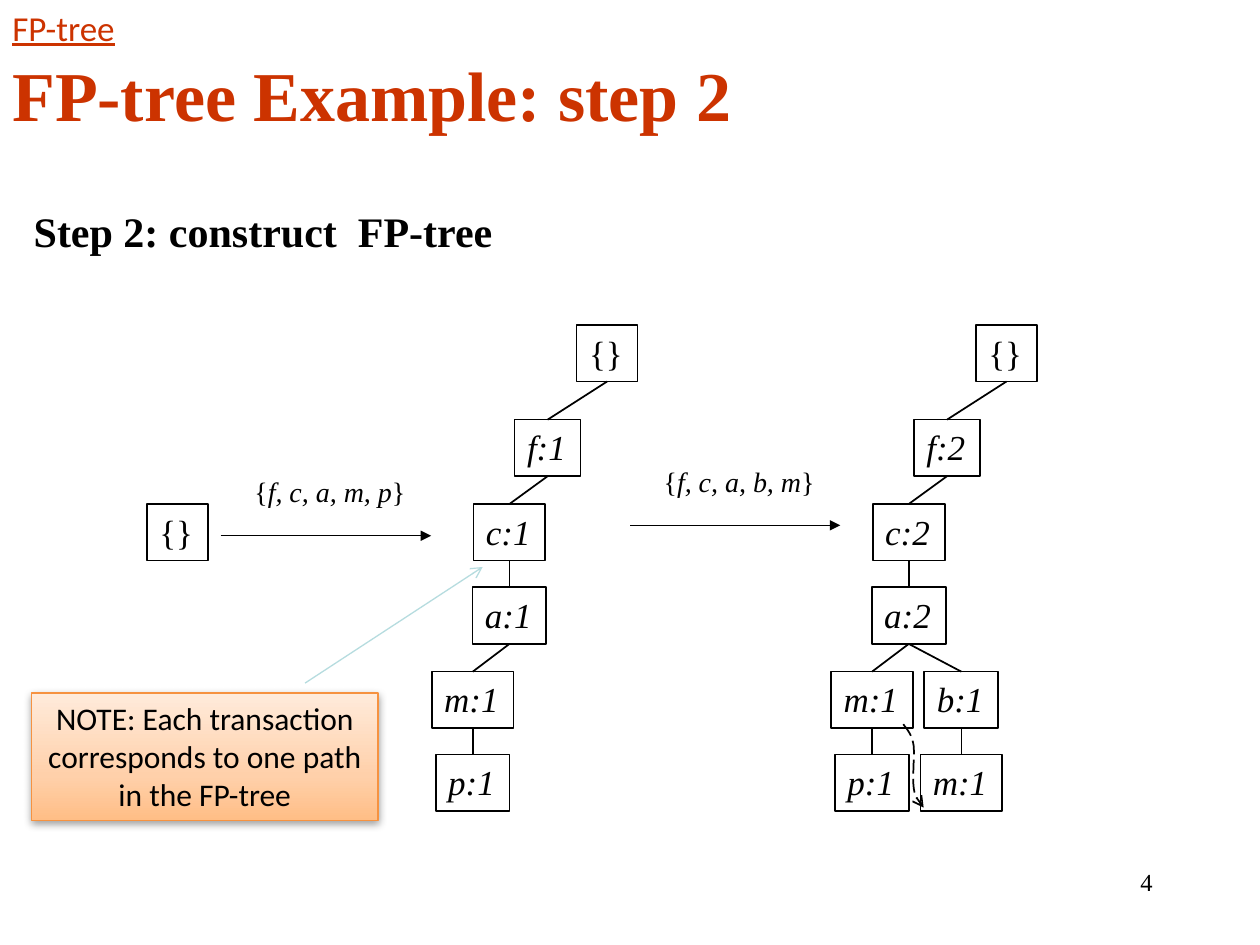
import copy

import lxml.etree
import pptx
import pptx.dml.color
import pptx.enum.dml
import pptx.enum.shapes
import pptx.enum.text
import pptx.oxml
import pptx.oxml.ns
import pptx.util

Cm, Pt = pptx.util.Cm, pptx.util.Pt
RGB = pptx.dml.color.RGBColor.from_string
qn = pptx.oxml.ns.qn
ALIGN = pptx.enum.text.PP_ALIGN
ANCHOR = pptx.enum.text.MSO_ANCHOR
FIT = pptx.enum.text.MSO_AUTO_SIZE
RECTANGLE = pptx.enum.shapes.MSO_SHAPE.RECTANGLE

SERIF, SANS = "Times New Roman", "Calibri"
THEME = {
    "ink": "000000",
    "accent": "CC3300",
    "pointer": "B6DCDF",
    "note_line": "F69240",
    "note_fill": [(0, "FFBE86"), (0.35, "FFD0AA"), (1, "FFEBDB")],
    "title": {"name": SERIF, "size": Pt(40), "bold": True},
    "section": {"name": SANS, "size": Pt(20), "underline": True},
    "step": {"name": SERIF, "size": Pt(24), "bold": True},
    "node": {"name": SERIF, "size": Pt(20)},
    "items": {"name": SERIF, "size": Pt(16)},
    "note": {"name": SANS, "size": Pt(18)},
    "number": {"name": SERIF, "size": Pt(14)},
}

deck = pptx.Presentation()
deck.slide_width, deck.slide_height = Cm(25.4), Cm(19.05)
slide = deck.slides.add_slide(deck.slide_layouts[6])
shapes = slide.shapes


def write(holder, pieces, style, color="ink", align=ALIGN.LEFT, **frame_format):
    """Fill a shape with (text, italic) pieces in one style of the theme."""
    frame_values = {"word_wrap": False, "auto_size": FIT.SHAPE_TO_FIT_TEXT,
                    "vertical_anchor": ANCHOR.TOP, **frame_format}
    for key, value in frame_values.items():
        setattr(holder.text_frame, key, value)
    paragraph = holder.text_frame.paragraphs[0]
    paragraph.alignment = align
    for text, italic in pieces:
        run = paragraph.add_run()
        run.text = text
        for key, value in {**THEME[style], "italic": italic}.items():
            setattr(run.font, key, value)
        run.font.color.rgb = RGB(THEME[color])


def connect(start, end, width=1, color="ink", head=None):
    """Draw a straight line between two points in cm, with an optional arrowhead."""
    line = shapes.add_connector(pptx.enum.shapes.MSO_CONNECTOR.STRAIGHT,
                                *(Cm(value) for value in (*start, *end)))
    line.line.width = Pt(width)
    line.line.color.rgb = RGB(THEME[color])
    if head:
        lxml.etree.SubElement(line.line._get_or_add_ln(), qn("a:tailEnd"), type=head)
    lxml.etree.SubElement(line._element.spPr, qn("a:effectLst"))


# Headings, transaction labels and slide number
fixed = {"auto_size": FIT.NONE, "word_wrap": True}
for box, pieces, style, options in [
    ((18.21, 17.35, 5.28, 1.27), [("4", False)], "number", {"align": ALIGN.RIGHT, **fixed}),
    ((0, 0.84, 24.76, 2.08), [("FP-tree Example: step 2", False)], "title",
     {"color": "accent", "vertical_anchor": ANCHOR.MIDDLE, **fixed}),
    ((0, 0, 2.87, 1.09), [("FP-tree", False)], "section", {"color": "accent"}),
    ((0.43, 4.01, 9.78, 1.27), [("Step 2: construct  FP-tree", False)], "step", {}),
    ((4.88, 9.45, 3.56, 0.94), [("{", False), ("f, c, a, m, p", True), ("}", False)],
     "items", {}),
    ((13.13, 9.25, 3.56, 0.94), [("{", False), ("f, c, a, b, m", True), ("}", False)],
     "items", {}),
]:
    write(shapes.add_textbox(*map(Cm, box)), pieces, style, **options)

# Trees: every node is (label, centre x, level, parent index)
ROW_TOPS = [6.55, 8.46, 10.16, 11.84, 13.54, 15.21]
NODE_HEIGHT = 1.14
NODE_WIDTHS = {"{": 1.23, "f": 1.33, "c": 1.45, "a": 1.49, "m": 1.65, "p": 1.49, "b": 1.49}
first_tree = [("{}", 12.24, 0, None), ("f:1", 11.04, 1, 0), ("c:1", 10.27, 2, 1),
              ("a:1", 10.27, 3, 2), ("m:1", 9.53, 4, 3), ("p:1", 9.53, 5, 4)]
TREE_SHIFT = 8.05
second_labels = ["{}", "f:2", "c:2", "a:2", "m:1", "p:1"]
second_tree = [(label, x + TREE_SHIFT, level, parent)
               for label, (_, x, level, parent) in zip(second_labels, first_tree)]
second_tree += [("b:1", 19.38, 4, 3), ("m:1", 19.38, 5, 6)]
empty_tree = [("{}", 3.58, 2, None)]

for tree in (empty_tree, first_tree, second_tree):
    for label, x, level, parent in tree:
        width = NODE_WIDTHS[label[0]]
        node = shapes.add_shape(RECTANGLE, Cm(x - width / 2), Cm(ROW_TOPS[level]),
                                Cm(width), Cm(NODE_HEIGHT))
        node.shadow.inherit = False
        node.fill.background()
        node.line.width = Pt(1)
        node.line.color.rgb = RGB(THEME["ink"])
        write(node, [(label, label != "{}")], "node")
        if parent is not None:
            _, parent_x, parent_level, _ = tree[parent]
            connect((parent_x, ROW_TOPS[parent_level] + NODE_HEIGHT), (x, ROW_TOPS[level]))

# Insertion arrows between the trees
for x, y in [(4.45, 10.8), (12.7, 10.59)]:
    connect((x, y), (x + 4.24, y), width=0.75, head="triangle")

# Dashed node link from m:1 to m:1, sampled along three Bézier segments
link_curve = [(18.21, 14.6), (18.29, 14.71), (18.39, 14.81), (18.42, 15.04),
              (18.44, 15.24), (18.39, 15.67), (18.42, 15.88),
              (18.44, 16.08), (18.54, 16.18), (18.62, 16.28)]
STEPS = 8
link_points = []
for first in range(0, len(link_curve) - 1, 3):
    for step in range(1, STEPS + 1):
        t = step / STEPS
        weights = ((1 - t) ** 3, 3 * t * (1 - t) ** 2, 3 * t ** 2 * (1 - t), t ** 3)
        link_points.append(tuple(
            Cm(sum(w * point[axis] for w, point in zip(weights, link_curve[first:first + 4])))
            for axis in (0, 1)))
builder = shapes.build_freeform(*map(Cm, link_curve[0]))
builder.add_line_segments(link_points, close=False)
node_link = builder.convert_to_shape()
node_link.shadow.inherit = False
node_link.fill.background()
node_link.line.color.rgb = RGB(THEME["ink"])
for key, value in {"width": Pt(1),
                   "dash_style": pptx.enum.dml.MSO_LINE.LONG_DASH}.items():
    setattr(node_link.line, key, value)
lxml.etree.SubElement(node_link.line._get_or_add_ln(), qn("a:tailEnd"), type="arrow")

# Note with gradient and soft shadow
note = shapes.add_shape(RECTANGLE, Cm(0.64), Cm(13.97), Cm(6.98), Cm(2.57))
note.fill.gradient()
note.fill.gradient_angle = 90
stop_list = note._element.spPr.find(".//" + qn("a:gsLst"))
stop_list.append(copy.deepcopy(stop_list[-1]))
for stop, (position, color) in zip(note.fill.gradient_stops, THEME["note_fill"]):
    stop.position = position
    stop.color.rgb = RGB(color)
note.line.width = Pt(0.75)
note.line.color.rgb = RGB(THEME["note_line"])
note.shadow.inherit = False
effects = note._element.spPr.find(qn("a:effectLst"))
shadow = lxml.etree.SubElement(effects, qn("a:outerShdw"), blurRad=str(Pt(5)),
                               dist=str(Pt(1.6)), dir="5400000", rotWithShape="0")
shadow_color = lxml.etree.SubElement(shadow, qn("a:srgbClr"), val=THEME["ink"])
lxml.etree.SubElement(shadow_color, qn("a:alpha"), val="38000")
write(note, [("NOTE: Each transaction corresponds to one path in the FP-tree", False)],
      "note", align=ALIGN.CENTER, word_wrap=True)
connect((6.15, 13.77), (9.73, 11.43), width=0.75, color="pointer", head="arrow")

deck.save("out.pptx")
